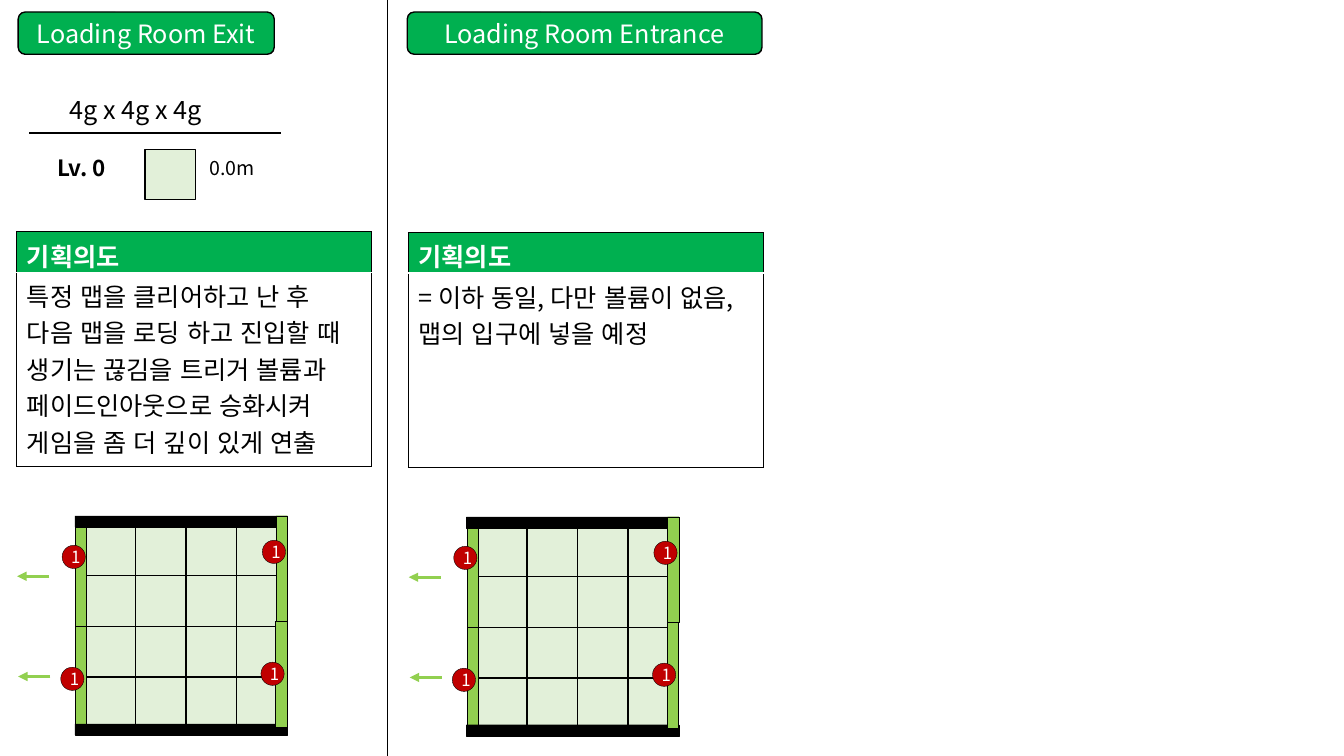
from lxml import etree
from pptx import Presentation
from pptx.dml.color import RGBColor
from pptx.enum.lang import MSO_LANGUAGE_ID
from pptx.enum.shapes import MSO_CONNECTOR, MSO_SHAPE
from pptx.enum.text import MSO_ANCHOR, PP_ALIGN
from pptx.oxml.ns import qn
from pptx.util import Pt

FONT = "Noto Sans CJK KR"
BLACK, WHITE, GREEN = "000000", "FFFFFF", "00B050"
FLOOR, DOOR, BADGE = "E2F0D9", "92D050", "C00000"
CELL = 36.1


def color(target, value):
    """Apply a hex colour to a fill or a font."""
    if hasattr(target, "solid"):
        target.solid()
        target.fore_color.rgb = RGBColor.from_string(value)
    else:
        target.color.rgb = RGBColor.from_string(value)


def write(frame, text, size, value, bold=False, align=PP_ALIGN.LEFT):
    """Write one paragraph, with line breaks where the text has them."""
    paragraph = frame.paragraphs[0]
    paragraph.text = text
    paragraph.alignment = align
    for run in paragraph.runs:
        font = run.font
        font.name, font.size, font.bold = FONT, Pt(size), bold
        font.language_id = MSO_LANGUAGE_ID.KOREAN
        color(font, value)
        east_asian = etree.SubElement(font._element, qn("a:ea"))
        east_asian.set("typeface", FONT)


def add_box(shapes, kind, x, y, width, height, fill, weight=1.0):
    """Add a filled preset shape with a black outline."""
    box = shapes.add_shape(kind, Pt(x), Pt(y), Pt(width), Pt(height))
    box.shadow.inherit = False
    color(box.fill, fill)
    color(box.line.fill, BLACK)
    box.line.width = Pt(weight)
    return box


def add_line(shapes, x1, y1, x2, y2, value=BLACK, weight=1.0, arrow=False):
    """Add a straight line, with an arrowhead at its end if asked."""
    line = shapes.add_connector(MSO_CONNECTOR.STRAIGHT, Pt(x1), Pt(y1), Pt(x2), Pt(y2))
    color(line.line.fill, value)
    line.line.width = Pt(weight)
    if arrow:
        etree.SubElement(line.line._get_or_add_ln(), qn("a:tailEnd")).set("type", "triangle")
    etree.SubElement(line._element.spPr, qn("a:effectLst"))


def add_label(shapes, x, y, width, height, text, size, bold=False):
    """Add a plain text box."""
    label = shapes.add_textbox(Pt(x), Pt(y), Pt(width), Pt(height))
    label.text_frame.word_wrap = True
    write(label.text_frame, text, size, BLACK, bold)


def add_title(shapes, x, width, text):
    """Add a rounded green room title."""
    title = add_box(shapes, MSO_SHAPE.ROUNDED_RECTANGLE, x, 8.6, width, 30.2, GREEN)
    title.text_frame.vertical_anchor = MSO_ANCHOR.MIDDLE
    write(title.text_frame, text, 18, WHITE, align=PP_ALIGN.CENTER)


def add_badge(shapes, x, y):
    """Add a round red door marker."""
    badge = add_box(shapes, MSO_SHAPE.OVAL, x, y, 16.6, 16.6, BADGE, 0.25)
    frame = badge.text_frame
    frame.word_wrap = False
    frame.vertical_anchor = MSO_ANCHOR.MIDDLE
    frame.margin_left = Pt(3)
    frame.margin_right = frame.margin_top = frame.margin_bottom = 0
    write(frame, "1", 12, WHITE, align=PP_ALIGN.CENTER)


def add_legend(slide):
    """Add the room size and the floor height key."""
    shapes = slide.shapes.add_group_shape().shapes
    add_line(shapes, 20.9, 95, 200.9, 95)
    add_box(shapes, MSO_SHAPE.RECTANGLE, 103.7, 106.6, 36, 36, FLOOR)
    add_label(shapes, 142.6, 108, 123, 24.5, "0.0m", 14)
    add_label(shapes, 33.8, 106.6, 77, 26.6, "Lv. 0", 16, bold=True)
    add_label(shapes, 42.5, 64.1, 183, 28.8, "4g x 4g x 4g", 18)


def border_cell(cell, sides):
    """Draw black borders on the named sides of a cell."""
    properties = cell._tc.get_or_add_tcPr()
    for index, side in enumerate(sides):
        border = etree.Element(qn("a:ln" + side), w=str(Pt(1)))
        fill = etree.SubElement(border, qn("a:solidFill"))
        etree.SubElement(fill, qn("a:srgbClr")).set("val", BLACK)
        properties.insert(index, border)


def add_intent_table(slide, x, y, text):
    """Add the design intent table of a room."""
    table = slide.shapes.add_table(2, 1, Pt(x), Pt(y), Pt(253.4), Pt(167.1)).table
    table.first_row = table.horz_banding = False
    rows = (("기획의도", 28.1, GREEN, WHITE, "LRT"), (text, 139, WHITE, BLACK, "LRB"))
    for index, (words, height, fill, ink, sides) in enumerate(rows):
        table.rows[index].height = Pt(height)
        cell = table.cell(index, 0)
        color(cell.fill, fill)
        border_cell(cell, sides)
        write(cell.text_frame, words, 18, ink, bold=index == 0)


def add_room(slide, dx, dy):
    """Add a floor plan with walls, doors, markers and exit arrows."""
    shapes = slide.shapes.add_group_shape().shapes

    def block(x, y, width, height, fill, weight=0.25):
        """Add a rectangle placed relative to the room."""
        add_box(shapes, MSO_SHAPE.RECTANGLE, dx + x, dy + y, width, height, fill, weight)

    for column in range(4):
        for row in range(4):
            block(60.7 + column * CELL, 375.2 + row * CELL, CELL, CELL, FLOOR, 1)
    for x, y, door_y in ((13, 483.2, 447.2), (12.3, 411.6, 371.6)):
        add_line(shapes, dx + x + 23, dy + y, dx + x, dy + y, DOOR, 2.25, arrow=True)
        block(53.9, door_y, 8, 75.6, DOOR)
    for x, y in ((44.4, 389.5), (43.4, 476.6)):
        add_badge(shapes, dx + x, dy + y)
    for y in (517, 368.6):
        block(53.5, y, 152, 8, BLACK)
    for x, y in ((196.9, 443.8), (197.2, 368.4)):
        block(x, y, 8, 75.6, DOOR)
    for x, y in ((187.4, 385.9), (186.4, 473)):
        add_badge(shapes, dx + x, dy + y)


def main():
    """Build the loading room slide."""
    deck = Presentation()
    deck.slide_width, deck.slide_height = Pt(960), Pt(540)
    slide = deck.slides.add_slide(deck.slide_layouts[6])
    add_title(slide.shapes, 13, 182.9, "Loading Room Exit")
    add_legend(slide)
    add_line(slide.shapes, 276.7, 0, 276.7, 540)
    add_intent_table(slide, 12, 165.6, "특정 맵을 클리어하고 난 후 다음 맵을 로딩 하고 진입할 때 "
                     "생기는 끊김을 트리거 볼륨과 페이드인아웃으로 승화시켜 게임을 좀 더 깊이 있게 연출")
    add_room(slide, 0, 0)
    add_room(slide, 279.7, 0.7)
    add_intent_table(slide, 291.7, 166.2, "= 이하 동일, 다만 볼륨이 없음, 맵의 입구에 넣을 예정")
    add_title(slide.shapes, 290.9, 253.4, "Loading Room Entrance")
    deck.save("out.pptx")


main()
